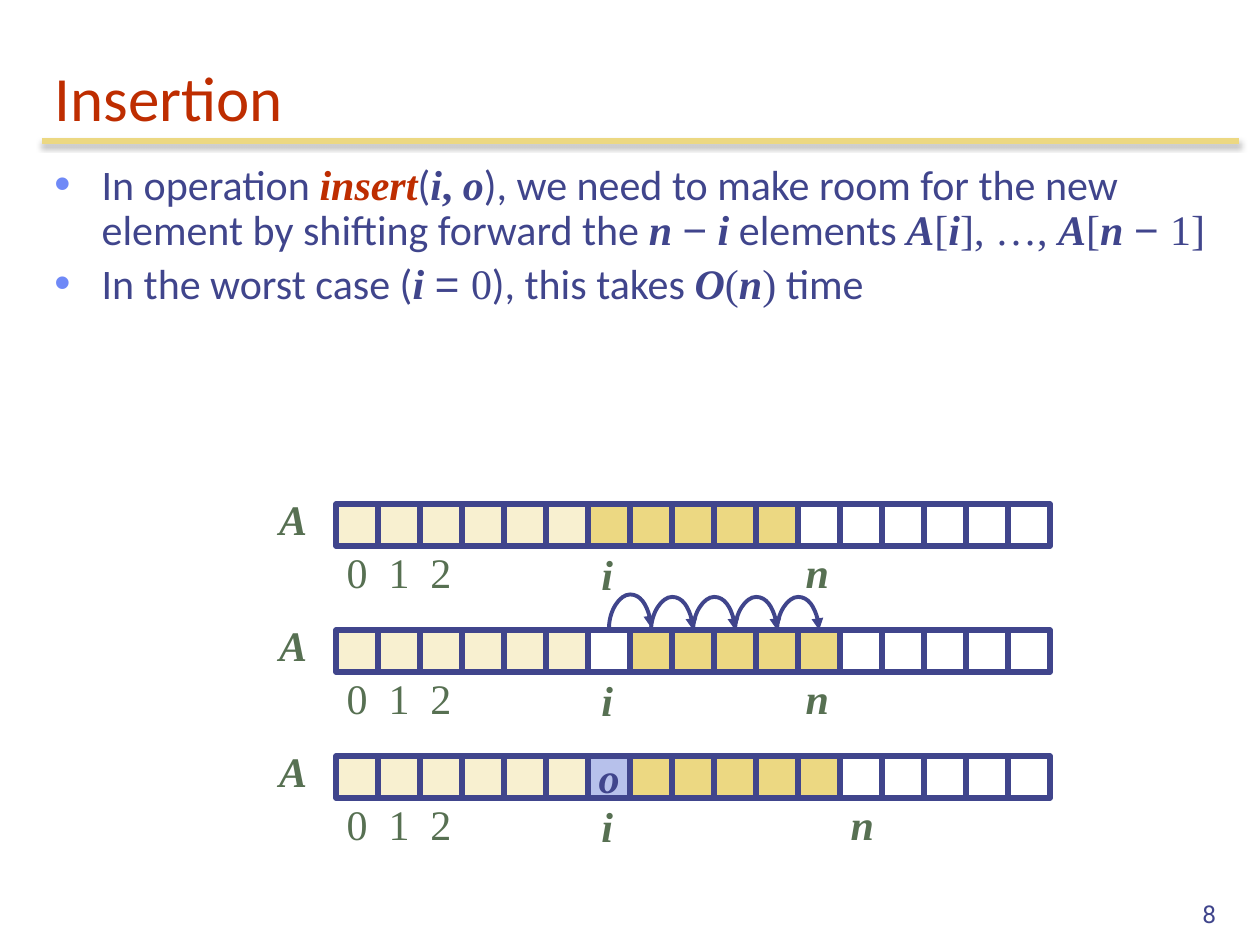
from lxml import etree
from pptx import Presentation
from pptx.dml.color import RGBColor
from pptx.enum.shapes import MSO_CONNECTOR, MSO_SHAPE
from pptx.enum.text import MSO_ANCHOR, MSO_AUTO_SIZE, PP_ALIGN
from pptx.oxml.ns import qn
from pptx.util import Pt

RECT = MSO_SHAPE.RECTANGLE
STRAIGHT, CURVE = MSO_CONNECTOR.STRAIGHT, MSO_CONNECTOR.CURVE
BOTTOM, MIDDLE, TOP = MSO_ANCHOR.BOTTOM, MSO_ANCHOR.MIDDLE, MSO_ANCHOR.TOP
LEFT, CENTER, RIGHT = PP_ALIGN.LEFT, PP_ALIGN.CENTER, PP_ALIGN.RIGHT
FIT_SHAPE = MSO_AUTO_SIZE.SHAPE_TO_FIT_TEXT

C = {
    "navy": "40458C", "red": "BE2D00", "gold": "ECD882", "cream": "F8F0D0",
    "lilac": "B7C1EB", "green": "577052", "bullet": "6F89F7",
    "white": "FFFFFF", "black": "000000",
}
SERIF = "Times New Roman"
STYLES = {
    "text": dict(font="Calibri"),
    "op": dict(font=SERIF, bold=True, italic=True, color="red"),
    "var": dict(font=SERIF, bold=True, italic=True),
    "bold": dict(font=SERIF, bold=True),
    "math": dict(font=SERIF),
    "sign": dict(font="Arial"),
}
BULLETS = [
    [("In operation ", "text"), ("insert", "op"), ("(", "text"), ("i", "var"),
     (",", "bold"), (" o", "var"),
     ("), we need to make room for the new element by shifting forward the ", "text"),
     ("n ", "var"), ("−", "sign"), (" i", "var"), (" elements ", "text"),
     ("A", "var"), ("[", "math"), ("i", "var"), ("], …, ", "math"),
     ("A", "var"), ("[", "math"), ("n ", "var"), ("− ", "sign"), ("1]", "math")],
    [("In the worst case (", "text"), ("i ", "var"), ("= ", "sign"), ("0", "math"),
     ("), this takes ", "text"), ("O", "var"), ("(", "math"), ("n", "var"),
     (")", "math"), (" time", "text")],
]
CELL, X0, CELLS = 24, 192, 17
INSERT_AT = 6
ROWS = [
    (288, ["cream"] * 6 + ["gold"] * 5, 456),
    (360, ["cream"] * 6 + ["white"] + ["gold"] * 5, 456),
    (432, ["cream"] * 6 + ["lilac"] + ["gold"] * 5, 481.7),
]


def rgb(name):
    return RGBColor.from_string(C[name])


def add_run(p, text, font=SERIF, size=24, color="navy", bold=False, italic=False):
    r = p.add_run()
    r.text = text
    r.font.name = font
    r.font.size = Pt(size)
    r.font.bold = bold
    r.font.italic = italic
    r.font.color.rgb = rgb(color)


def add_label(s, text, x, y, w, h, align=CENTER, anchor=TOP, tight=True,
              wrap=True, **fmt):
    tf = s.shapes.add_textbox(Pt(x), Pt(y), Pt(w), Pt(h)).text_frame
    tf.word_wrap = wrap
    tf.vertical_anchor = anchor
    if tight:
        tf.margin_left = tf.margin_right = tf.margin_top = tf.margin_bottom = 0
        tf.auto_size = FIT_SHAPE
    p = tf.paragraphs[0]
    p.alignment = align
    add_run(p, text, **fmt)


def add_title(s, text):
    sp = s.shapes.title
    sp.left, sp.top, sp.width, sp.height = Pt(24), Pt(24), Pt(684), Pt(56)
    tf = sp.text_frame
    tf.vertical_anchor = BOTTOM
    p = tf.paragraphs[0]
    p.alignment = LEFT
    add_run(p, text, font="Calibri", size=36, color="red")


def add_bullet(p):
    pPr = p._p.get_or_add_pPr()
    pPr.set("marL", str(Pt(27)))
    pPr.set("indent", str(-Pt(27)))
    clr = etree.SubElement(pPr, qn("a:buClr"))
    etree.SubElement(clr, qn("a:srgbClr"), val=C["bullet"])
    etree.SubElement(pPr, qn("a:buSzPct"), val="110000")
    etree.SubElement(pPr, qn("a:buFont"), typeface="Arial")
    etree.SubElement(pPr, qn("a:buChar"), char="•")


def add_body(s):
    tf = s.shapes.add_textbox(Pt(24), Pt(90), Pt(684), Pt(408)).text_frame
    tf.word_wrap = True
    for k, runs in enumerate(BULLETS):
        p = tf.add_paragraph() if k else tf.paragraphs[0]
        add_bullet(p)
        p.line_spacing = 0.9
        if k:
            p.space_before = Pt(4.8)
        for text, style in runs:
            add_run(p, text, **STYLES[style])


def add_line(s, kind, x1, y1, x2, y2, color, width):
    ln = s.shapes.add_connector(kind, Pt(x1), Pt(y1), Pt(x2), Pt(y2))
    ln.line.color.rgb = rgb(color)
    ln.line.width = Pt(width)
    effects = etree.SubElement(ln._element.spPr, qn("a:effectLst"))
    return ln, effects


def add_title_rule(s):
    _, effects = add_line(s, STRAIGHT, 24, 80.6, 708, 80.6, "gold", 3)
    shadow = etree.SubElement(effects, qn("a:outerShdw"), blurRad=str(Pt(3.1)),
                              dist=str(Pt(1.8)), dir="5400000", rotWithShape="0")
    clr = etree.SubElement(shadow, qn("a:srgbClr"), val=C["black"])
    etree.SubElement(clr, qn("a:alpha"), val="35000")


def add_hop(s, x, y, height=16.6, thin=0.1):
    mid = x + CELL / 2
    ln, _ = add_line(s, CURVE, mid, y + CELL / 2, mid + thin, y - CELL / 2,
                     "navy", 2.25)
    spPr = ln._element.spPr
    spPr.find(qn("a:xfrm")).set("rot", "5400000")
    guides = spPr.find(qn("a:prstGeom")).find(qn("a:avLst"))
    etree.SubElement(guides, qn("a:gd"), name="adj1",
                     fmla=f"val {round(-height / thin * 100000)}")
    etree.SubElement(ln.line._get_or_add_ln(), qn("a:tailEnd"), type="triangle")


def add_cell(s, x, y, fill, text=None):
    sp = s.shapes.add_shape(RECT, Pt(x), Pt(y), Pt(CELL), Pt(CELL))
    sp.shadow.inherit = False
    sp.fill.solid()
    sp.fill.fore_color.rgb = rgb(fill)
    sp.line.color.rgb = rgb("navy")
    sp.line.width = Pt(3)
    if text:
        tf = sp.text_frame
        tf.word_wrap = False
        tf.vertical_anchor = MIDDLE
        p = tf.paragraphs[0]
        p.alignment = CENTER
        add_run(p, text, **STYLES["var"])


def add_array(s, y, fills, n_x):
    var = dict(color="green", **STYLES["var"])
    add_label(s, "A", 156, y - 6, 23, 29, **var)
    for k in range(3):
        add_label(s, str(k), X0 + 6 + k * CELL, y + 24.5, 12, 29, align=LEFT,
                  wrap=False, color="green")
    add_label(s, "n", n_x, y + 24.5, 22, 29, **var)
    fills = fills + ["white"] * (CELLS - len(fills))
    for k, fill in enumerate(fills):
        add_cell(s, X0 + k * CELL, y, fill, "o" if fill == "lilac" else None)
    add_label(s, "i", X0 + INSERT_AT * CELL, y + 25.2, 22, 29, **var)


def main():
    prs = Presentation()
    prs.slide_width, prs.slide_height = Pt(720), Pt(540)
    s = prs.slides.add_slide(prs.slide_layouts[5])
    add_title_rule(s)
    add_title(s, "Insertion")
    add_body(s)
    add_label(s, "8", 552, 498, 150, 36, align=RIGHT, anchor=BOTTOM, tight=False,
              font="Roboto", size=14)
    for y, fills, n_x in ROWS:
        add_array(s, y, fills, n_x)
    for k in range(5):
        add_hop(s, X0 + (INSERT_AT + k + 0.5) * CELL, 360 if k else 358.6)
    prs.save("out.pptx")


if __name__ == "__main__":
    main()
